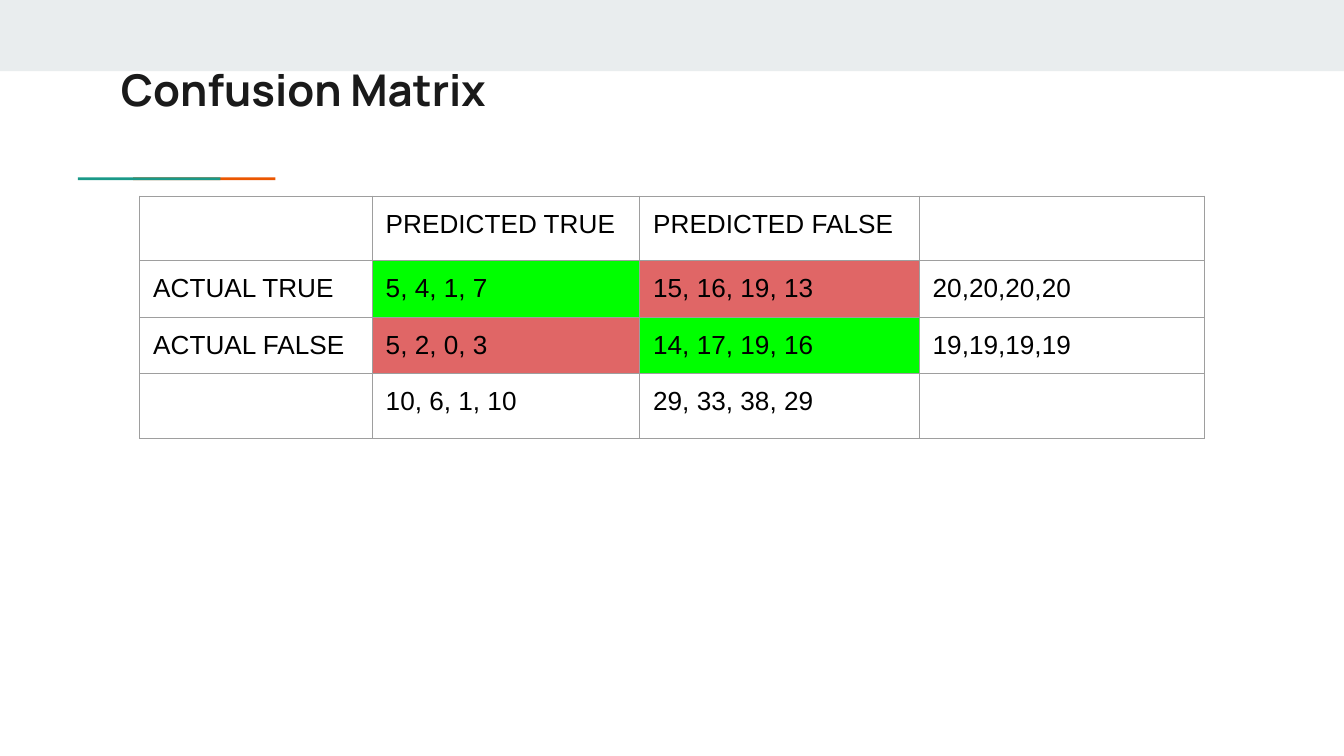
import dataclasses

import lxml.etree
import pptx
import pptx.dml.color
import pptx.enum.shapes
import pptx.enum.text
import pptx.oxml.ns
import pptx.util

Inches = pptx.util.Inches


@dataclasses.dataclass(frozen=True)
class Theme:
    band: str = "E9EDEE"
    orange: str = "EB5600"
    teal: str = "1A9988"
    title: str = "1A1A1A"
    text: str = "000000"
    border: str = "9E9E9E"
    correct: str = "00FF00"
    wrong: str = "E06666"
    title_font: str = "Manrope"
    body_font: str = "Arial"
    title_size: float = 23.4
    body_size: float = 14
    border_width: float = 0.75
    inset: float = 0.1


class SlideBuilder:
    def __init__(self, slide, theme):
        self.slide = slide
        self.theme = theme

    def add_run(self, paragraph, text, font, size, color, bold=False):
        run = paragraph.add_run()
        run.text = text
        run.font.name = font
        run.font.size = pptx.util.Pt(size)
        run.font.bold = bold
        run.font.color.rgb = pptx.dml.color.RGBColor.from_string(color)

    def set_margins(self, target):
        for side in ("left", "top", "right", "bottom"):
            setattr(target, f"margin_{side}", Inches(self.theme.inset))

    def add_rectangle(self, left, top, width, height, color):
        shape = self.slide.shapes.add_shape(
            pptx.enum.shapes.MSO_SHAPE.RECTANGLE,
            Inches(left), Inches(top), Inches(width), Inches(height))
        shape.shadow.inherit = False
        shape.fill.solid()
        shape.fill.fore_color.rgb = pptx.dml.color.RGBColor.from_string(color)
        shape.line.fill.background()

    def add_title(self, text, left, top, width, height):
        """Format the title placeholder and bring it in front of what is drawn so far."""
        title = self.slide.shapes.title
        self.slide.shapes._spTree.append(title._element)
        title.left, title.top = Inches(left), Inches(top)
        title.width, title.height = Inches(width), Inches(height)
        frame = title.text_frame
        frame.word_wrap = True
        frame.auto_size = pptx.enum.text.MSO_AUTO_SIZE.NONE
        frame.vertical_anchor = pptx.enum.text.MSO_ANCHOR.TOP
        self.set_margins(frame)
        paragraph = frame.paragraphs[0]
        paragraph.alignment = pptx.enum.text.PP_ALIGN.LEFT
        self.add_run(paragraph, text, self.theme.title_font,
                     self.theme.title_size, self.theme.title, bold=True)

    def add_borders(self, cell):
        properties = cell._tc.get_or_add_tcPr()
        for side in ("lnL", "lnR", "lnT", "lnB"):
            line = lxml.etree.SubElement(
                properties, pptx.oxml.ns.qn(f"a:{side}"),
                w=str(pptx.util.Pt(self.theme.border_width)))
            fill = lxml.etree.SubElement(line, pptx.oxml.ns.qn("a:solidFill"))
            lxml.etree.SubElement(
                fill, pptx.oxml.ns.qn("a:srgbClr"), val=self.theme.border)

    def set_empty_font(self, paragraph):
        """Give an empty cell its font, which decides the least height of its row."""
        properties = lxml.etree.SubElement(
            paragraph._p, pptx.oxml.ns.qn("a:endParaRPr"))
        lxml.etree.SubElement(
            properties, pptx.oxml.ns.qn("a:latin"), typeface=self.theme.body_font)

    def add_table(self, rows, fills, left, top, column_widths, row_height):
        """Add a table; fills maps (row, column) to a colour, other cells stay clear."""
        table = self.slide.shapes.add_table(
            len(rows), len(column_widths), Inches(left), Inches(top),
            Inches(sum(column_widths)), Inches(row_height * len(rows))).table
        table.first_row = False
        table.horz_banding = False
        for column, width in zip(table.columns, column_widths):
            column.width = Inches(width)
        for row_index, texts in enumerate(rows):
            table.rows[row_index].height = Inches(row_height)
            for column_index, text in enumerate(texts):
                cell = table.cell(row_index, column_index)
                self.set_margins(cell)
                self.add_borders(cell)
                color = fills.get((row_index, column_index))
                if color:
                    cell.fill.solid()
                    cell.fill.fore_color.rgb = pptx.dml.color.RGBColor.from_string(color)
                else:
                    cell.fill.background()
                paragraph = cell.text_frame.paragraphs[0]
                if text:
                    self.add_run(paragraph, text, self.theme.body_font,
                                 self.theme.body_size, self.theme.text)
                else:
                    self.set_empty_font(paragraph)


def main():
    presentation = pptx.Presentation()
    presentation.slide_width = Inches(10)
    presentation.slide_height = presentation.slide_width * 9 // 16
    theme = Theme()
    slide = presentation.slides.add_slide(presentation.slide_layouts[5])
    builder = SlideBuilder(slide, theme)

    builder.add_rectangle(0, 0, 10, 0.53, theme.band)
    for left, color in ((0.99, theme.orange), (0.58, theme.teal)):
        builder.add_rectangle(left, 1.32, 1.06, 0.02, color)
    builder.add_title("Confusion Matrix", 0.8, 0.37, 8.41, 0.59)

    rows = [
        ["", "PREDICTED TRUE", "PREDICTED FALSE", ""],
        ["ACTUAL TRUE", "5, 4, 1, 7", "15, 16, 19, 13", "20,20,20,20"],
        ["ACTUAL FALSE", "5, 2, 0, 3", "14, 17, 19, 16", "19,19,19,19"],
        ["", "10, 6, 1, 10", "29, 33, 38, 29", ""],
    ]
    fills = {(row, column): theme.correct if row == column else theme.wrong
             for row in (1, 2) for column in (1, 2)}
    builder.add_table(rows, fills, 1.04, 1.46, [1.73, 1.99, 2.08, 2.12], 0.42)
    presentation.save("out.pptx")


if __name__ == "__main__":
    main()
